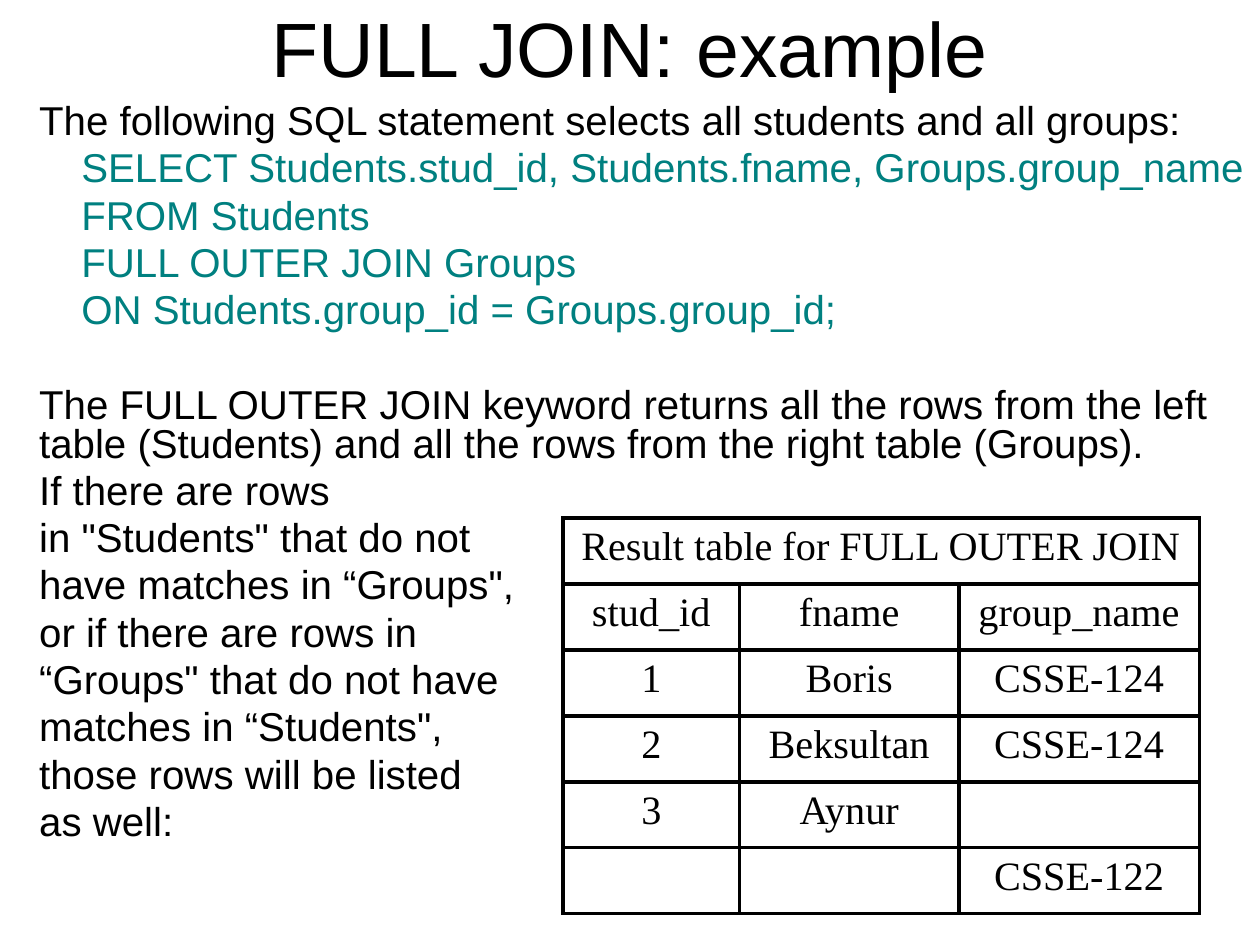
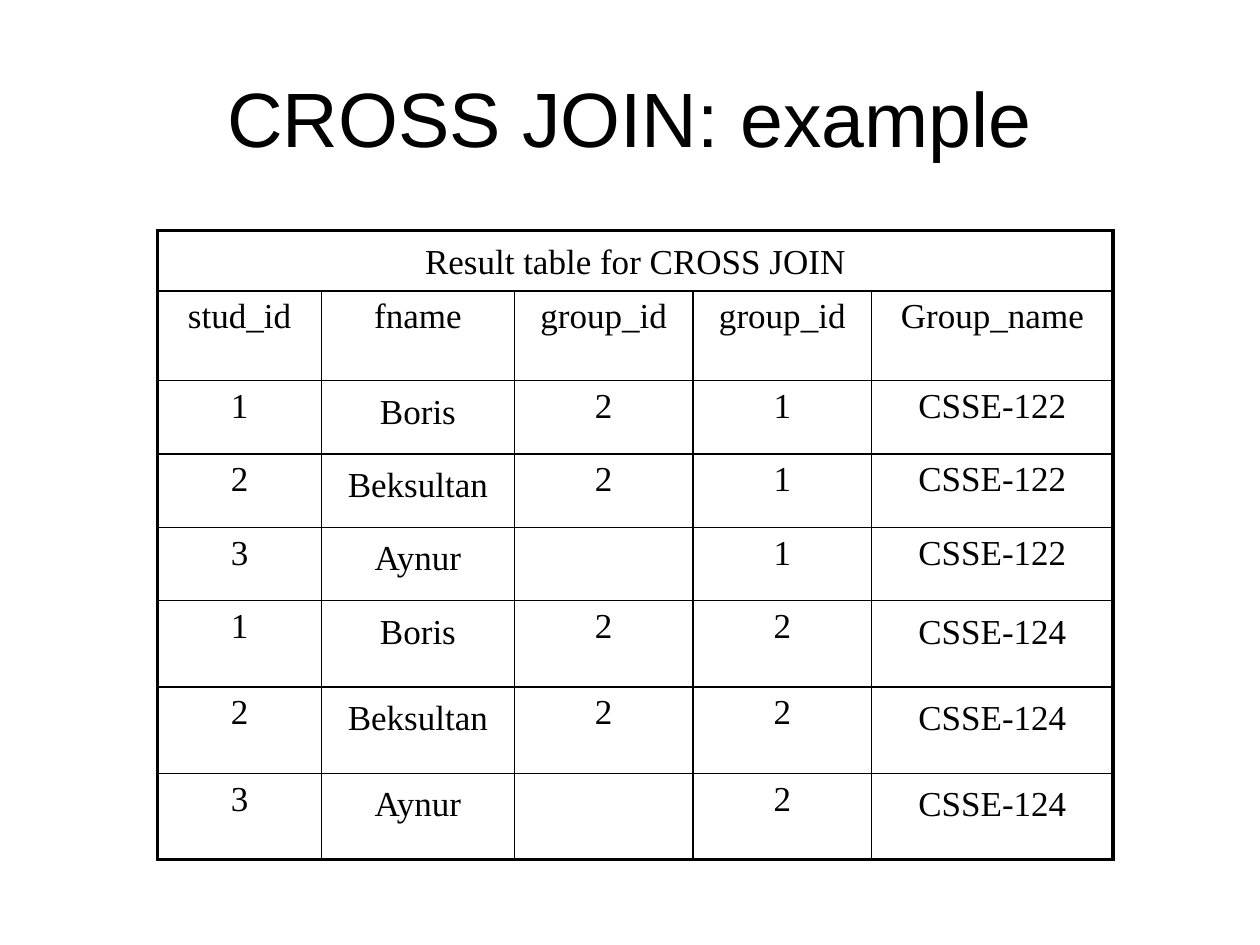
from lxml import etree
from pptx import Presentation
from pptx import util as u
from pptx.dml import color
from pptx.enum import text
from pptx.oxml import ns

BLACK, TEAL = "000000", "008080"
SANS, SERIF = "Arial", "Times New Roman"
THIN, THICK = 1, 2.25


def paint(code):
    return color.RGBColor.from_string(code)


def style(para, size, face, code=BLACK):
    para.font.size = u.Pt(size)
    para.font.name = face
    para.font.color.rgb = paint(code)


def pad(frame, gap):
    frame.margin_left = frame.margin_right = u.Cm(gap)
    frame.margin_top = frame.margin_bottom = u.Cm(gap)


def place(shape, box):
    shape.left, shape.top, shape.width, shape.height = map(u.Cm, box)


def add_slide(deck, title, top):
    slide = deck.slides.add_slide(deck.slide_layouts[5])
    head = slide.shapes.title
    place(head, (1.27, top, 22.86, 3.18))
    frame = head.text_frame
    frame.text = title
    frame.auto_size = text.MSO_AUTO_SIZE.NONE
    frame.vertical_anchor = text.MSO_ANCHOR.MIDDLE
    pad(frame, 0)
    para = frame.paragraphs[0]
    para.alignment = text.PP_ALIGN.CENTER
    style(para, 44, SANS)
    return slide


def add_body(slide, box, parts):
    frame = slide.shapes.add_textbox(*map(u.Cm, box)).text_frame
    frame.word_wrap = True
    pad(frame, 0)
    first = True
    for lines, code, indent, lead in parts:
        for i, line in enumerate(lines):
            para = frame.paragraphs[0] if first else frame.add_paragraph()
            first = False
            para.text = line
            para.line_spacing = 0.8
            para.space_before = u.Pt(5 if i else lead)
            style(para, 23, SANS, code)
            if indent:
                props = para._p.get_or_add_pPr()
                props.set("marL", str(u.Cm(indent)))
                props.set("indent", "0")


def add_edges(cell, widths):
    props = cell._tc.get_or_add_tcPr()
    for side, width in zip("LRTB", widths):
        line = etree.SubElement(props, ns.qn("a:ln" + side), w=str(u.Pt(width)))
        fill = etree.SubElement(line, ns.qn("a:solidFill"))
        etree.SubElement(fill, ns.qn("a:srgbClr"), val=BLACK)


def add_grid(slide, spot, cols, rows, data, size, gap, inner, is_loose):
    area = (*spot, sum(cols), sum(rows))
    grid = slide.shapes.add_table(len(rows), len(cols), *map(u.Cm, area)).table
    grid.first_row = grid.horz_banding = False
    for col, width in zip(grid.columns, cols):
        col.width = u.Cm(width)
    for row, height in zip(grid.rows, rows):
        row.height = u.Cm(height)
    end_row, end_col = len(rows) - 1, len(cols) - 1
    grid.cell(0, 0).merge(grid.cell(0, end_col))
    for r, values in enumerate(data):
        for c, value in enumerate(values):
            cell = grid.cell(r, c)
            pad(cell, gap)
            outer = (c == 0, c == end_col or cell.is_merge_origin,
                     r == 0, r == end_row)
            add_edges(cell, [THICK if edge else inner for edge in outer])
            cell.fill.background()
            para = cell.text_frame.paragraphs[0]
            para.text = value
            para.alignment = text.PP_ALIGN.CENTER
            style(para, size, SERIF)
            if is_loose(r, c):
                para.line_spacing = 1.15
            else:
                para.space_before = u.Pt(4)


def add_full(deck):
    slide = add_slide(deck, "FULL JOIN: example", -0.64)
    intro = ["The following SQL statement selects all students and all groups:"]
    query = [
        "SELECT Students.stud_id, Students.fname, Groups.group_name",
        "FROM Students",
        "FULL OUTER JOIN Groups",
        "ON Students.group_id = Groups.group_id;",
    ]
    notes = [
        "The FULL OUTER JOIN keyword returns all the rows from the left "
        "table (Students) and all the rows from the right table (Groups).",
        "If there are rows",
        'in "Students" that do not',
        'have matches in “Groups",',
        "or if there are rows in",
        '“Groups" that do not have',
        'matches in “Students",',
        "those rows will be listed",
        "as well:",
    ]
    add_body(slide, (0.79, 2.11, 25.4, 12.57), [
        (intro, BLACK, 0, 5),
        (query, TEAL, 0.85, 5),
        (notes, BLACK, 0, 32),
    ])
    data = [
        ["Result table for FULL OUTER JOIN"],
        ["stud_id", "fname", "group_name"],
        ["1", "Boris", "CSSE-124"],
        ["2", "Beksultan", "CSSE-124"],
        ["3", "Aynur", ""],
        ["", "", "CSSE-122"],
    ]
    add_grid(slide, (11.35, 10.44), [3.56, 4.42, 4.85], [1.33] * 6, data,
             23, 0, THICK, lambda r, c: True)


def add_cross(deck):
    slide = add_slide(deck, "CROSS JOIN: example", 0.76)
    people = [("1", "Boris", "2"), ("2", "Beksultan", "2"), ("3", "Aynur", "")]
    groups = [("1", "CSSE-122"), ("2", "CSSE-124")]
    data = [
        ["Result table for CROSS JOIN"],
        ["stud_id", "fname", "group_id", "group_id", "Group_name"],
    ]
    data += [who + group for group in groups for who in people]
    add_grid(slide, (3.18, 4.65), [3.3, 3.89, 3.6, 3.6, 4.87],
             [1.22, 1.8] + [1.48] * 3 + [1.74] * 3, data, 20, 0.13, THIN,
             lambda r, c: r == 0 or (r > 1 and c == 1) or (r > 4 and c == 4))


deck = Presentation()
deck.slide_width, deck.slide_height = u.Cm(25.4), u.Cm(19.05)
add_full(deck)
add_cross(deck)
deck.save("out.pptx")
